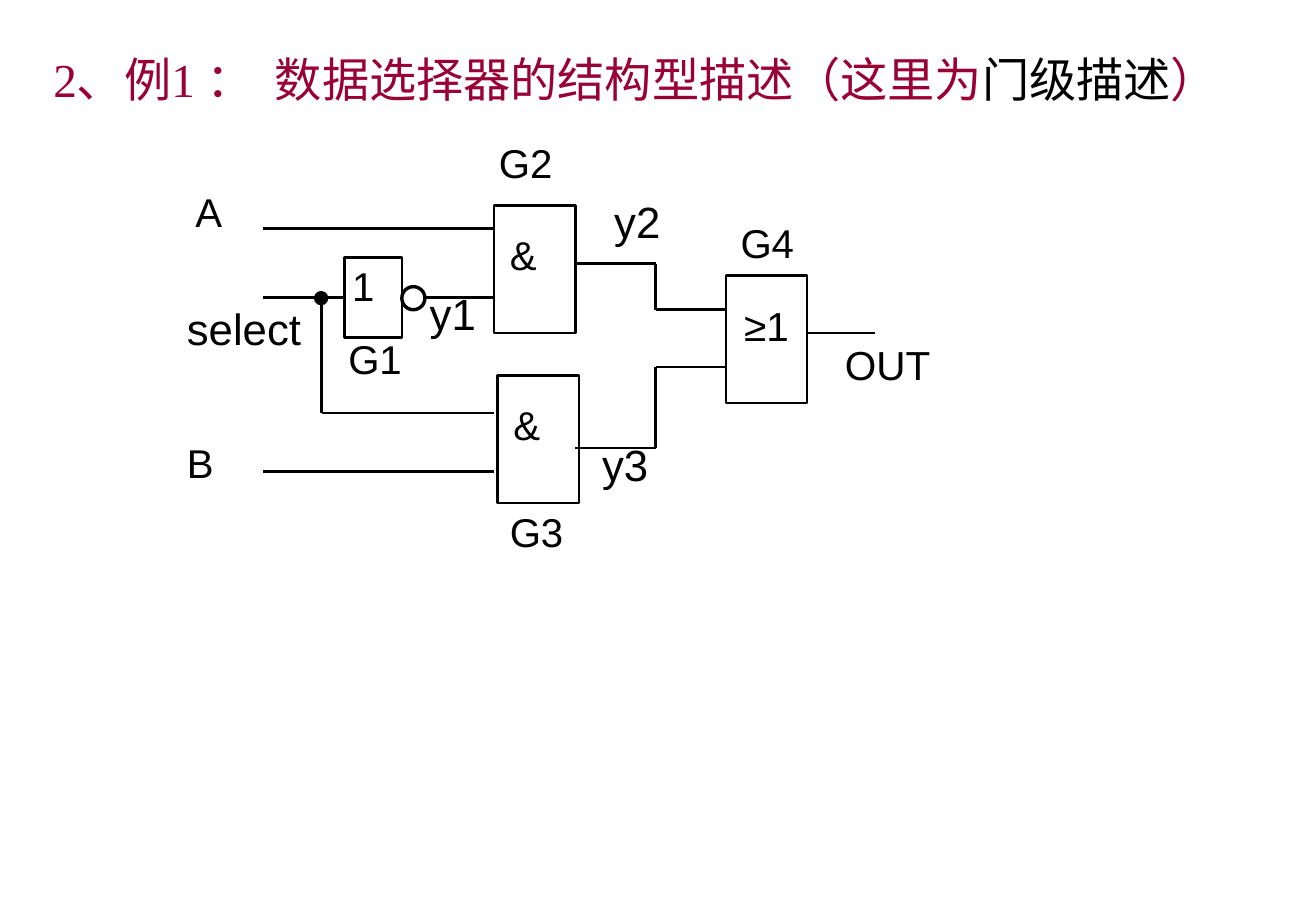
import pptx
import pptx.util
import pptx.dml.color
import pptx.enum.shapes
import pptx.enum.text
import pptx.oxml.xmlchemy
import lxml.etree
from pptx.util import Inches

COLORS = {"ink": "000000", "title": "990033", "paper": "FFFFFF"}


class CircuitSlide:
    """Holds the drawing style and the slide that receives the circuit."""

    def __init__(self, presentation):
        self.slide = presentation.slides.add_slide(presentation.slide_layouts[5])
        self.title_font = "Times New Roman"
        self.label_font = "Arial"
        self.wire_width = 1.5
        self.slide.background.fill.solid()
        self.slide.background.fill.fore_color.rgb = self.color("paper")

    def color(self, name):
        """Return the named colour."""
        return pptx.dml.color.RGBColor.from_string(COLORS[name])

    def add_run(self, paragraph, text, font, size, color):
        """Append one formatted run."""
        run = paragraph.add_run()
        run.text = text
        run.font.name = font
        run.font.size = pptx.util.Pt(size)
        run.font.color.rgb = self.color(color)

    def set_frame(self, frame, across, down, anchor, wrap):
        """Set the margins, anchor and wrapping of a text frame."""
        frame.margin_left = frame.margin_right = Inches(across)
        frame.margin_top = frame.margin_bottom = Inches(down)
        frame.vertical_anchor = anchor
        frame.word_wrap = wrap
        frame.auto_size = pptx.enum.text.MSO_AUTO_SIZE.NONE

    def title(self, runs, left, top, width, height):
        """Place and fill the title placeholder."""
        shape = self.slide.shapes.title
        shape.left, shape.top = Inches(left), Inches(top)
        shape.width, shape.height = Inches(width), Inches(height)
        self.set_frame(shape.text_frame, 0.1, 0.05, pptx.enum.text.MSO_ANCHOR.MIDDLE, False)
        paragraph = shape.text_frame.paragraphs[0]
        paragraph.alignment = pptx.enum.text.PP_ALIGN.LEFT
        for text, color in runs:
            self.add_run(paragraph, text, self.title_font, 28, color)

    def label(self, text, left, top, width, height=0.48, size=23.8, spacing=0.9):
        """Add a one-line label."""
        box = self.slide.shapes.add_textbox(
            Inches(left), Inches(top), Inches(width), Inches(height))
        self.set_frame(box.text_frame, 0.06, 0.03, pptx.enum.text.MSO_ANCHOR.TOP, True)
        paragraph = box.text_frame.paragraphs[0]
        paragraph.alignment = pptx.enum.text.PP_ALIGN.LEFT
        paragraph.line_spacing = spacing
        self.add_run(paragraph, text, self.label_font, size, "ink")

    def outline(self, kind, left, top, width, height, line_width, filled=False):
        """Add an outlined preset shape."""
        shape = self.slide.shapes.add_shape(
            kind, Inches(left), Inches(top), Inches(width), Inches(height))
        shape.shadow.inherit = False
        if filled:
            shape.fill.solid()
            shape.fill.fore_color.rgb = self.color("ink")
        else:
            shape.fill.background()
        shape.line.color.rgb = self.color("ink")
        shape.line.width = pptx.util.Pt(line_width)

    def gate(self, left, top, width=0.67, height=1.05):
        """Add the rectangular body of a gate."""
        self.outline(pptx.enum.shapes.MSO_SHAPE.RECTANGLE,
                     left, top, width, height, self.wire_width)

    def circle(self, left, top, diameter, filled=False):
        """Add an inversion circle or a junction dot."""
        self.outline(pptx.enum.shapes.MSO_SHAPE.OVAL,
                     left, top, diameter, diameter, 2, filled)

    def wire(self, *points):
        """Join the points with straight segments."""
        for start, end in zip(points, points[1:]):
            connector = self.slide.shapes.add_connector(
                pptx.enum.shapes.MSO_CONNECTOR.STRAIGHT,
                *(Inches(value) for value in start + end))
            connector.line.color.rgb = self.color("ink")
            connector.line.width = pptx.util.Pt(self.wire_width)
            lxml.etree.SubElement(connector._element.spPr, pptx.oxml.ns.qn("a:effectLst"))


def main():
    """Build and save the data selector slide."""
    presentation = pptx.Presentation()
    presentation.slide_width = Inches(10.84)
    presentation.slide_height = Inches(7.5)
    circuit = CircuitSlide(presentation)

    circuit.title([("2、例1 ：  数据选择器的结构型描述（这里为", "title"),
                   ("门级描述", "ink"), ("）", "title")], 0.34, 0.36, 10.16, 0.57)

    circuit.gate(2.84, 2.12, 0.47, 0.66)
    for left, top in [(4.07, 1.69), (4.1, 3.09), (5.98, 2.27)]:
        circuit.gate(left, top)
    circuit.circle(3.31, 2.36, 0.19)
    circuit.circle(2.6, 2.41, 0.09, filled=True)

    input_left, branch, and_left, and_right = 2.17, 2.65, 4.07, 4.74
    select_row, bend, or_left = 2.45, 5.4, 5.98
    for row in (1.88, 3.88):
        circuit.wire((input_left, row), (and_left, row))
    circuit.wire((input_left, select_row), (2.84, select_row))
    circuit.wire((3.5, select_row), (and_left, select_row))
    circuit.wire((branch, select_row), (branch, 3.4), (and_left, 3.4))
    for output_row, input_row in [(2.17, 2.55), (3.69, 3.02)]:
        circuit.wire((and_right, output_row), (bend, output_row),
                     (bend, input_row), (or_left, input_row))
    circuit.wire((6.64, 2.74), (7.21, 2.74))

    for text, left, top, width in [
            ("1", 2.84, 2.17, 0.41), ("&", 4.14, 1.91, 0.44), ("&", 4.17, 3.31, 0.44),
            ("A", 1.55, 1.56, 0.46), ("B", 1.48, 3.62, 0.46),
            ("G1", 2.81, 2.77, 0.65), ("G2", 4.05, 1.15, 0.65),
            ("G3", 4.14, 4.19, 0.65), ("G4", 6.04, 1.81, 0.95)]:
        circuit.label(text, left, top, width)
    for text, left, top, width in [("≥1", 6.07, 2.45, 0.65), ("OUT", 6.9, 2.77, 0.88)]:
        circuit.label(text, left, top, width, size=24, spacing=1.0)
    for text, left, top, width in [
            ("select", 1.48, 2.5, 1.2), ("y1", 3.48, 2.38, 0.6),
            ("y2", 5, 1.62, 0.6), ("y3", 4.9, 3.62, 0.6)]:
        circuit.label(text, left, top, width, height=0.52, size=25.9)

    presentation.save("out.pptx")


if __name__ == "__main__":
    main()
